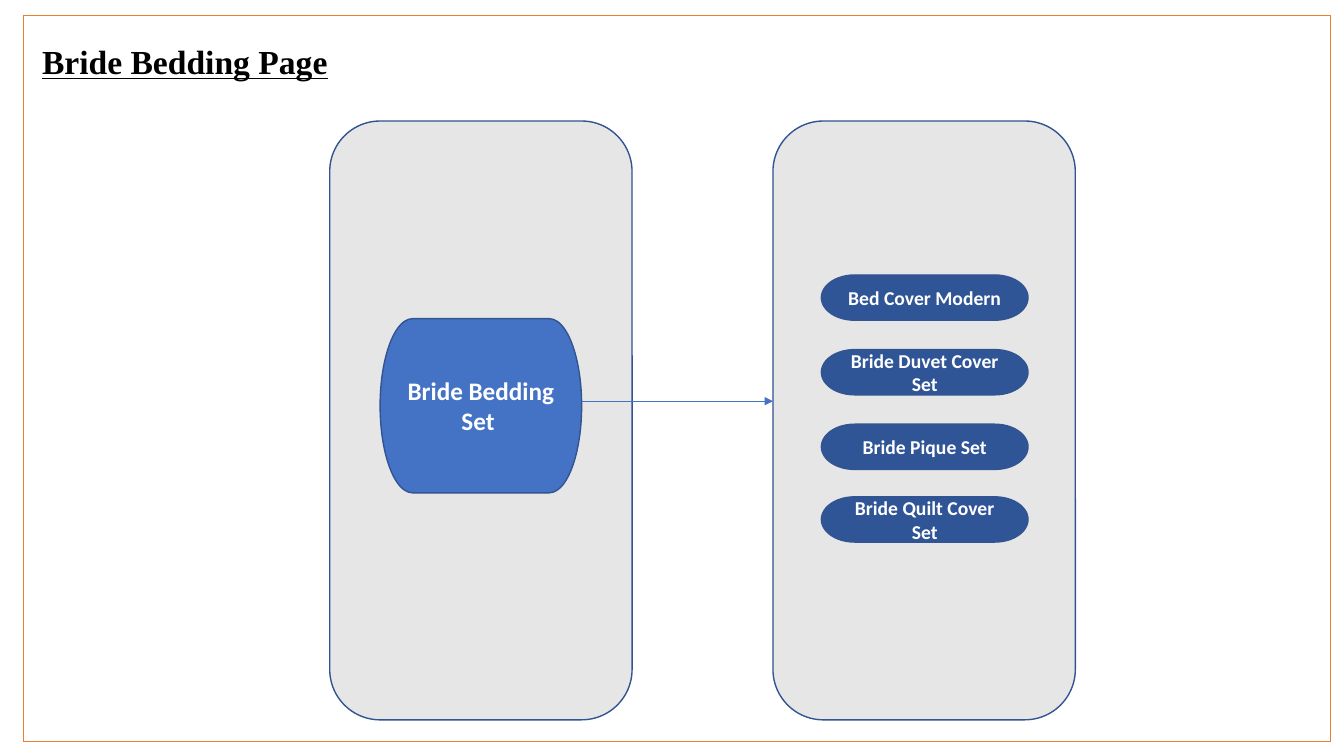
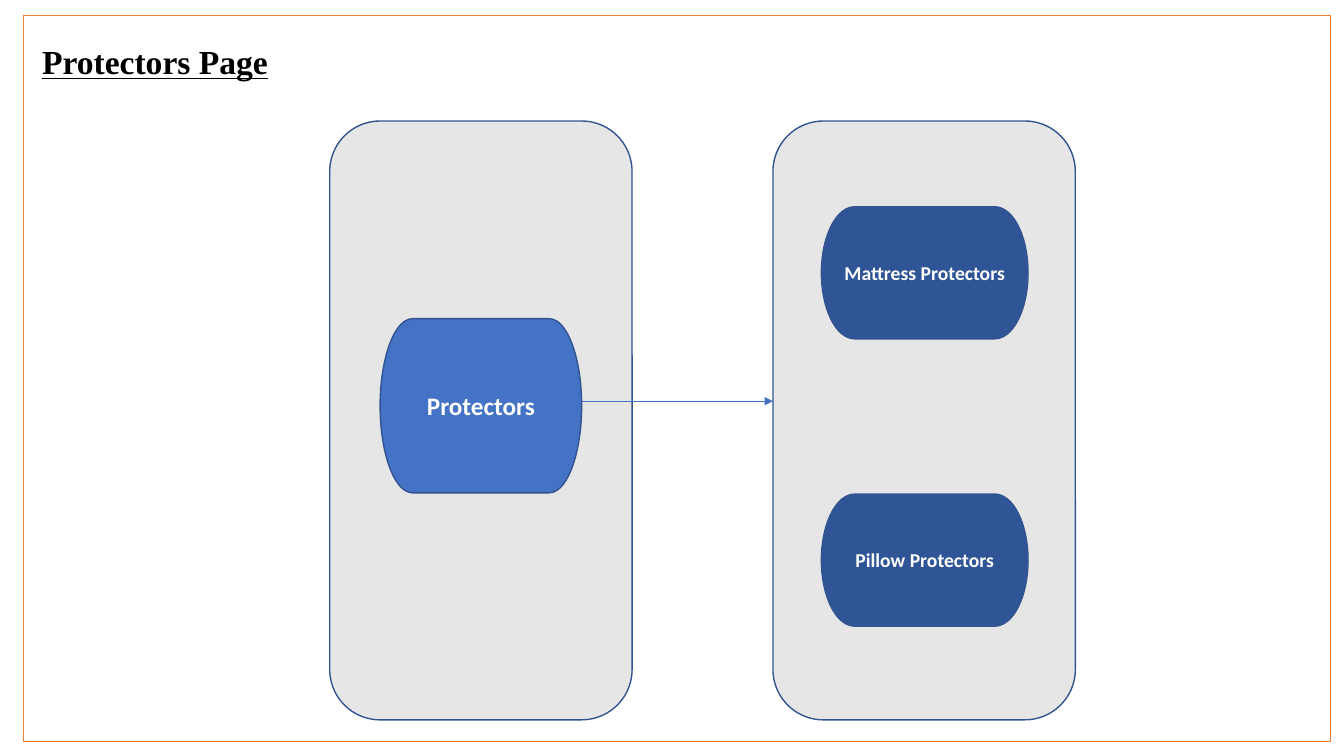
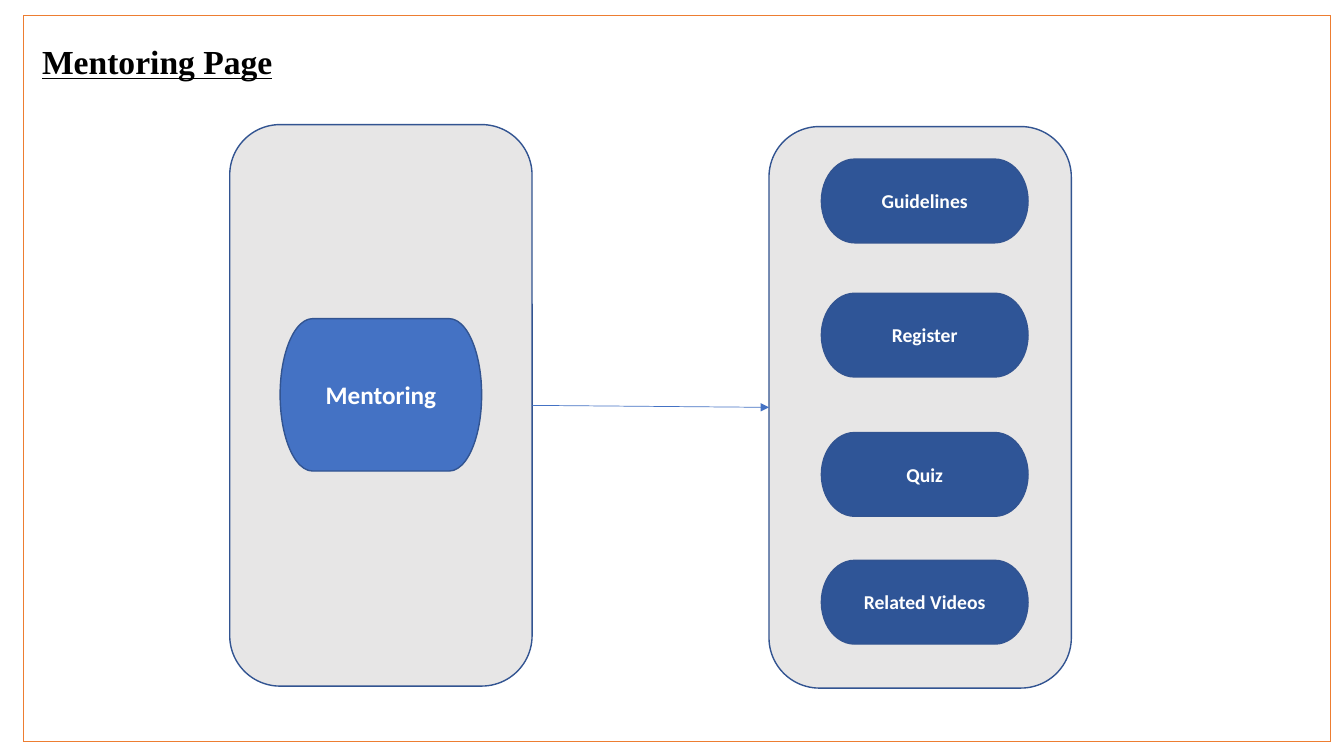
import pptx
import pptx.dml.color
import pptx.enum.shapes
import pptx.enum.text
import pptx.oxml.ns
import pptx.util
from lxml import etree

Cm = pptx.util.Cm
Pt = pptx.util.Pt
SHAPE = pptx.enum.shapes.MSO_SHAPE
ALIGN = pptx.enum.text.PP_ALIGN
qn = pptx.oxml.ns.qn

PAGES = [
    {"title": "Bride Bedding Page", "hub": "Bride Bedding Set ", "hub_h": 4.39,
     "left": (8.31, 3.05), "right": (19.48, 3.05), "panel_h": 15.09,
     "pill_h": 1.14, "joined": False,
     "pills": [("Bed Cover Modern", 6.93), ("Bride Duvet Cover Set", 8.81),
               ("Bride Pique Set", 10.69), ("Bride Quilt Cover Set", 12.52)]},
    {"title": "Protectors Page", "hub": "Protectors", "hub_h": 4.39,
     "left": (8.31, 3.05), "right": (19.48, 3.05), "panel_h": 15.09,
     "pill_h": 3.33, "joined": False,
     "pills": [("Mattress Protectors", 5.21), ("Pillow Protectors", 12.45)]},
    {"title": "Mentoring Page", "hub": "Mentoring", "hub_h": 3.84,
     "left": (5.79, 3.14), "right": (19.38, 3.19), "panel_h": 14.15,
     "pill_h": 2.11, "joined": True,
     "pills": [("Guidelines", 4.01), ("Register", 7.39),
               ("Quiz", 10.9), ("Related Videos", 14.12)]},
]


class Deck:
    colors = {"frame": "ED7D31", "panel": "E7E6E6", "outline": "325491",
              "hub": "4472C4", "pill": "2F5597", "arrow": "4472C4",
              "title": "000000", "label": "FFFFFF"}
    fonts = {
        "title": {"name": "Times New Roman", "size": Pt(24), "bold": True, "underline": True},
        "hub": {"name": "Calibri", "size": Pt(18), "bold": True},
        "pill": {"name": "Calibri", "size": Pt(14), "bold": True},
    }
    panel_w, hub_w, pill_w = 7.62, 5.08, 5.21
    hub_y, pill_x, arrow_y = 8.03, 20.7, 10.11

    def __init__(self):
        self.prs = pptx.Presentation()
        self.prs.slide_width = Cm(33.87)
        self.prs.slide_height = Cm(19.05)
        self.s = None

    def rgb(self, key):
        return pptx.dml.color.RGBColor.from_string(self.colors[key])

    def new_slide(self):
        self.s = self.prs.slides.add_slide(self.prs.slide_layouts[6])

    def label(self, tf, text, style, color, align):
        tf.word_wrap = True
        p = tf.paragraphs[0]
        p.alignment = align
        r = p.add_run()
        r.text = text
        for name, value in self.fonts[style].items():
            setattr(r.font, name, value)
        r.font.color.rgb = self.rgb(color)

    def line(self, x1, y1, x2, y2, color, arrow=False):
        c = self.s.shapes.add_connector(
            pptx.enum.shapes.MSO_CONNECTOR.STRAIGHT, Cm(x1), Cm(y1), Cm(x2), Cm(y2))
        c.line.width = Pt(0.5)
        c.line.color.rgb = self.rgb(color)
        sp_pr = c._element.spPr
        if arrow:
            etree.SubElement(sp_pr.find(qn("a:ln")), qn("a:tailEnd"), type="triangle")
        etree.SubElement(sp_pr, qn("a:effectLst"))
        return c

    def frame(self):
        l, t, r, b = 0.58, 0.38, 33.53, 18.67
        for ends in ((l, t, r, t), (l, t, l, b), (r, t, r, b), (l, b, r, b)):
            self.line(*ends, "frame")

    def title(self, text):
        sp = self.s.shapes.add_textbox(Cm(0.81), Cm(0.91), Cm(13.44), Cm(1.28))
        sp.text_frame.auto_size = pptx.enum.text.MSO_AUTO_SIZE.SHAPE_TO_FIT_TEXT
        self.label(sp.text_frame, text, "title", "title", ALIGN.LEFT)

    def shape(self, kind, x, y, w, h, fill):
        sp = self.s.shapes.add_shape(kind, Cm(x), Cm(y), Cm(w), Cm(h))
        sp.shadow.inherit = False
        sp.fill.solid()
        sp.fill.fore_color.rgb = self.rgb(fill)
        sp.line.color.rgb = self.rgb("outline")
        sp.line.width = Pt(1)
        return sp

    def panel(self, x, y, h):
        return self.shape(SHAPE.ROUNDED_RECTANGLE, x, y, self.panel_w, h, "panel")

    def terminator(self, text, x, y, w, h, style):
        sp = self.shape(SHAPE.FLOWCHART_TERMINATOR, x, y, w, h, style)
        sp.text_frame.vertical_anchor = pptx.enum.text.MSO_ANCHOR.MIDDLE
        self.label(sp.text_frame, text, style, "label", ALIGN.CENTER)

    def page(self, page):
        self.new_slide()
        self.frame()
        left = self.panel(*page["left"], page["panel_h"])
        right = self.panel(*page["right"], page["panel_h"])
        hub_x = page["left"][0] + (self.panel_w - self.hub_w) / 2
        self.terminator(page["hub"], hub_x, self.hub_y, self.hub_w, page["hub_h"], "hub")
        self.title(page["title"])
        for text, y in page["pills"]:
            self.terminator(text, self.pill_x, y, self.pill_w, page["pill_h"], "pill")
        arrow = self.line(hub_x + self.hub_w, self.arrow_y,
                          page["right"][0], self.arrow_y, "arrow", arrow=True)
        if page["joined"]:
            arrow.begin_connect(left, 3)
            arrow.end_connect(right, 1)


def main():
    deck = Deck()
    for page in PAGES:
        deck.page(page)
    deck.prs.save("out.pptx")


if __name__ == "__main__":
    main()
